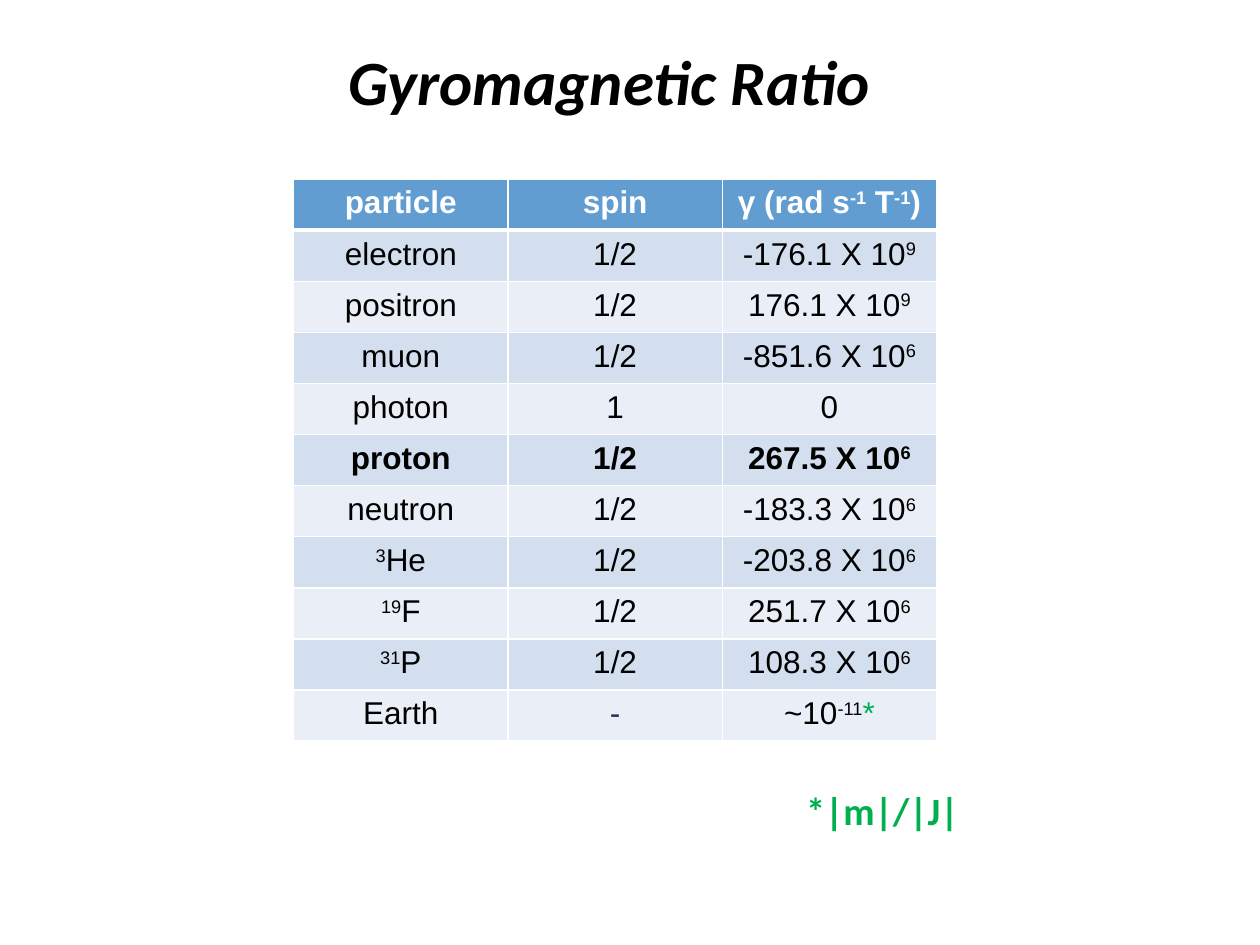
import pptx
import pptx.util
import pptx.dml.color
import pptx.enum.text
import pptx.oxml
import pptx.oxml.ns

Cm = pptx.util.Cm
Pt = pptx.util.Pt
RGBColor = pptx.dml.color.RGBColor
PP_ALIGN = pptx.enum.text.PP_ALIGN

BLACK = RGBColor(0x00, 0x00, 0x00)
WHITE = RGBColor(0xFF, 0xFF, 0xFF)
GREEN = RGBColor(0x00, 0xB0, 0x50)
NAVY = RGBColor(0x24, 0x28, 0x52)
HEADER = RGBColor(0x62, 0x9D, 0xD1)
BANDS = (RGBColor(0xD3, 0xDF, 0xEE), RGBColor(0xEA, 0xEF, 0xF7))

# Text between carets is superscript
ROWS = [
    ("particle", "spin", "γ (rad s^-1^ T^-1^)"),
    ("electron", "1/2", "-176.1 X 10^9^"),
    ("positron", "1/2", "176.1 X 10^9^"),
    ("muon", "1/2", "-851.6 X 10^6^"),
    ("photon", "1", "0"),
    ("proton", "1/2", "267.5 X 10^6^"),
    ("neutron", "1/2", "-183.3 X 10^6^"),
    ("^3^He", "1/2", "-203.8 X 10^6^"),
    ("^19^F", "1/2", "251.7 X 10^6^"),
    ("^31^P", "1/2", "108.3 X 10^6^"),
    ("Earth", "-", "~10^-11^"),
]


def add_text(p, text, font="Arial", size=18, color=BLACK, bold=False,
             italic=False, align=None):
    """Append text to a paragraph, raising the parts between carets."""
    p.alignment = align
    for i, part in enumerate(text.split("^")):
        if not part:
            continue
        r = p.add_run()
        r.text = part
        r.font.name, r.font.size = font, Pt(size)
        r.font.bold, r.font.italic = bold, italic
        r.font.color.rgb = color
        if i % 2:
            r.font._element.set("baseline", "30000")


class SlideBuilder:
    heading_font = "Calibri"
    col_width = Cm(4.32)
    row_height = Cm(1.03)

    def __init__(self, s):
        self.s = s

    def text_box(self, text, x, y, w, h, **fmt):
        tf = self.s.shapes.add_textbox(Cm(x), Cm(y), Cm(w), Cm(h)).text_frame
        tf.word_wrap = True
        add_text(tf.paragraphs[0], text, font=self.heading_font, bold=True, **fmt)

    def borders(self, cell, bottom):
        tcPr = cell._tc.get_or_add_tcPr()
        for side, width in (("L", 1), ("R", 1), ("T", 1), ("B", bottom)):
            tcPr.append(pptx.oxml.parse_xml(
                f'<a:ln{side} {pptx.oxml.ns.nsdecls("a")} w="{Pt(width)}">'
                f'<a:solidFill><a:srgbClr val="{WHITE}"/></a:solidFill></a:ln{side}>'))

    def table(self, rows, x, y):
        n, m = len(rows), len(rows[0])
        table = self.s.shapes.add_table(
            n, m, Cm(x), Cm(y), self.col_width * m, self.row_height * n).table
        for col in table.columns:
            col.width = self.col_width
        for i, row in enumerate(rows):
            table.rows[i].height = self.row_height
            for j, text in enumerate(row):
                cell = table.cell(i, j)
                self.borders(cell, bottom=1 if i else 3)
                cell.fill.solid()
                cell.fill.fore_color.rgb = BANDS[(i - 1) % 2] if i else HEADER
                color = NAVY if text == "-" else BLACK if i else WHITE
                add_text(cell.text_frame.paragraphs[0], text, color=color,
                         bold=i == 0 or row[0] == "proton", align=PP_ALIGN.CENTER)
        return table


def main():
    prs = pptx.Presentation()
    prs.slide_width, prs.slide_height = Cm(25.4), Cm(19.05)
    b = SlideBuilder(prs.slides.add_slide(prs.slide_layouts[6]))

    # Title
    b.text_box("Gyromagnetic Ratio", 6.78, 0.74, 12.27, 1.8, size=36, italic=True)

    # Table, with a green footnote mark in the last cell
    table = b.table(ROWS, 5.92, 3.61)
    last = table.cell(len(ROWS) - 1, 2).text_frame.paragraphs[0]
    add_text(last, "*", color=GREEN, align=PP_ALIGN.CENTER)

    # Footnote
    b.text_box("*|m|/|J|", 16, 15.75, 5.08, 1.19, size=22, color=GREEN)

    prs.save("out.pptx")


if __name__ == "__main__":
    main()
